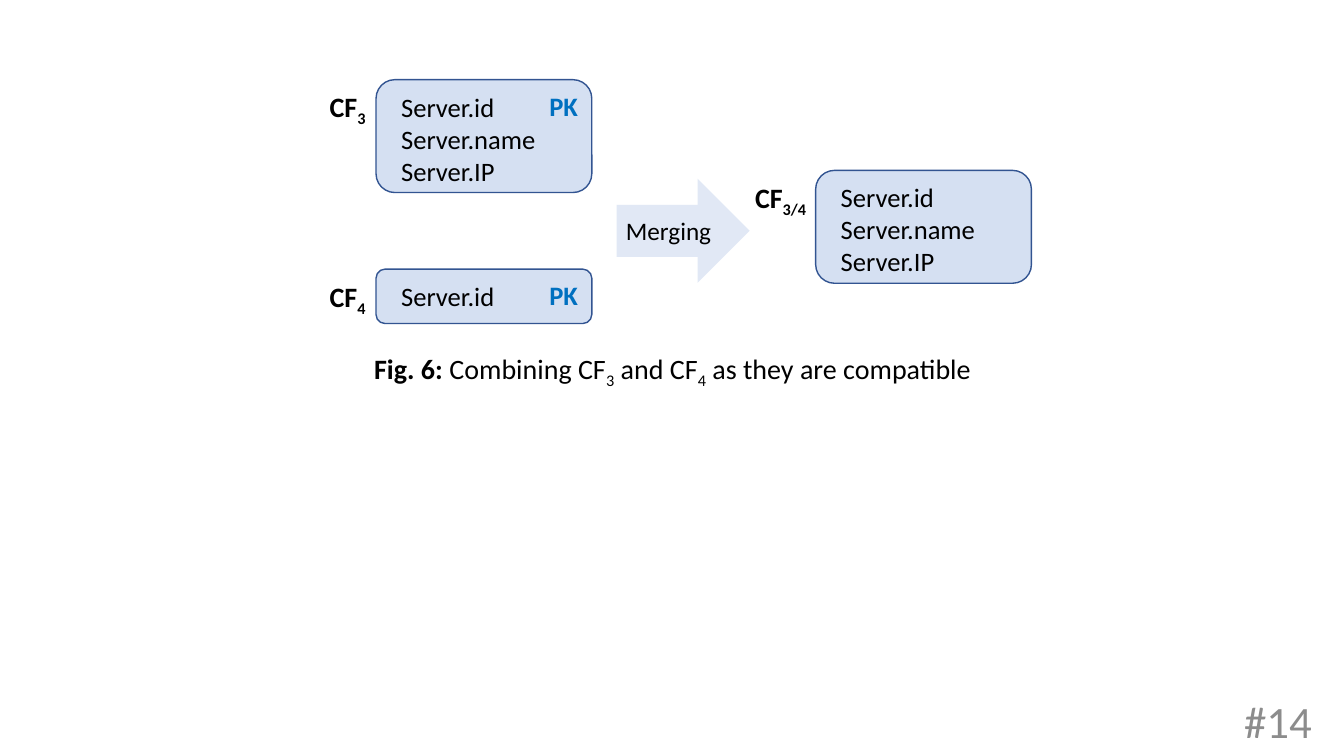
from lxml import etree
from pptx import Presentation
from pptx import util as u
from pptx.dml.color import RGBColor
from pptx.enum import shapes, text
from pptx.oxml.ns import qn

PX = 9144  # EMU per px, 100 px to the inch
HUES = {"ink": "000000", "key": "0070C0", "card": "4472C4", "edge": "325491",
        "arrow": "B4C7E7", "page": "8C8C8C"}
FIELDS = ["Server.id", "Server.name", "Server.IP"]


def px(*vals):
    return [u.Emu(v * PX) for v in vals]


def hue(name):
    return RGBColor.from_string(HUES[name])


def write(shape, lines, size, color="ink", wrap=True, **form):
    """Fill a shape with lines, each a list of (text, bold, subscript) runs."""
    frame = shape.text_frame
    frame.auto_size = text.MSO_AUTO_SIZE.NONE
    frame.word_wrap = wrap
    frame.vertical_anchor = form.pop("anchor", text.MSO_ANCHOR.TOP)
    for i, runs in enumerate(lines):
        para = frame.add_paragraph() if i else frame.paragraphs[0]
        for key, val in form.items():
            setattr(para, key, val)
        for words, bold, sub in runs:
            run = para.add_run()
            run.text = words
            look = {"name": "Calibri", "size": u.Pt(size), "bold": bold}
            for key, val in look.items():
                setattr(run.font, key, val)
            run.font.color.rgb = hue(color)
            if sub:
                run._r.get_or_add_rPr().set("baseline", "-25000")


def label(slide, box, lines, size, **form):
    write(slide.shapes.add_textbox(*px(*box)), lines, size, **form)


def block(slide, kind, box, fill, alpha, edge=None):
    """Draw a see-through preset shape; alpha is in percent."""
    shape = slide.shapes.add_shape(kind, *px(*box))
    shape.shadow.inherit = False
    shape.fill.solid()
    shape.fill.fore_color.rgb = hue(fill)
    tint = shape.fill._xPr.find(".//" + qn("a:srgbClr"))
    etree.SubElement(tint, qn("a:alpha")).set("val", str(alpha * 1000))
    if edge:
        shape.line.color.rgb = hue(edge)
        shape.line.width = u.Pt(1)
    else:
        shape.line.fill.background()
    return shape


def family(slide, box, mark, fields, gap=56, key=True):
    """Draw a column family: its card, fields, name at left and key mark."""
    x, y, w, h = box
    block(slide, shapes.MSO_SHAPE.ROUNDED_RECTANGLE, box, "card", 22, "edge")
    label(slide, (x + 15, y + 6, w - 25, h - 9),
          [[(field, False, False)] for field in fields], 19)
    label(slide, (x - gap, y + 5, 97, 44),
          [[("CF", True, False), (mark, True, True)]], 20)
    if key:
        label(slide, (x + 162, y + 5, 52, 42), [[("PK", True, False)]], 19,
              color="key")


def merge(slide, box):
    x, y, w, h = box
    # The box is the upright one, turned to point right around its centre.
    arrow = block(slide, shapes.MSO_SHAPE.DOWN_ARROW, box, "arrow", 40)
    arrow.rotation = 270
    label(slide, (x - 15, y + 46, 106, 40), [[("Merging", False, False)]], 18,
          wrap=False)


def caption(slide, box):
    title = slide.shapes.title
    title.left, title.top, title.width, title.height = px(*box)
    runs = [("Fig. 6: ", True, False), ("Combining CF", False, False),
            ("3", False, True), (" and CF", False, False),
            ("4", False, True), (" as they are compatible", False, False)]
    write(title, [runs], 20, anchor=text.MSO_ANCHOR.MIDDLE,
          alignment=text.PP_ALIGN.CENTER, line_spacing=0.9)


def main():
    deck = Presentation()
    deck.slide_width, deck.slide_height = u.Inches(13.33), u.Inches(7.5)
    slide = deck.slides.add_slide(deck.slide_layouts[5])
    merge(slide, (626, 163, 103, 132))
    family(slide, (373, 79, 214, 112), "3", FIELDS)
    family(slide, (373, 267, 214, 54), "4", FIELDS[:1])
    family(slide, (809, 169, 214, 112), "3/4", FIELDS, gap=70, key=False)
    caption(slide, (214, 333, 906, 67))
    label(slide, (1011, 695, 300, 40), [[("#14", False, False)]], 32,
          color="page", anchor=text.MSO_ANCHOR.MIDDLE,
          alignment=text.PP_ALIGN.RIGHT)
    deck.save("out.pptx")


if __name__ == "__main__":
    main()
